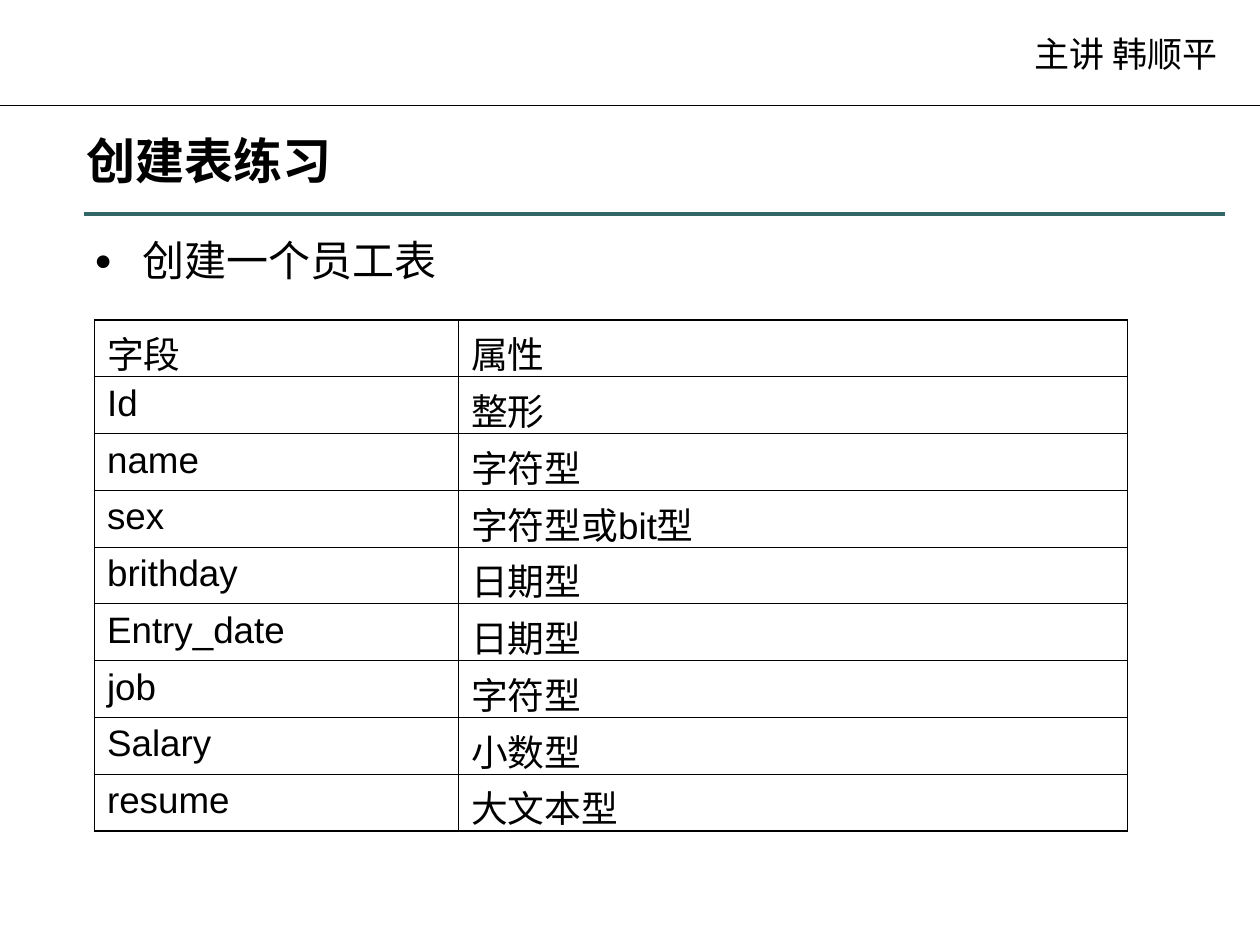
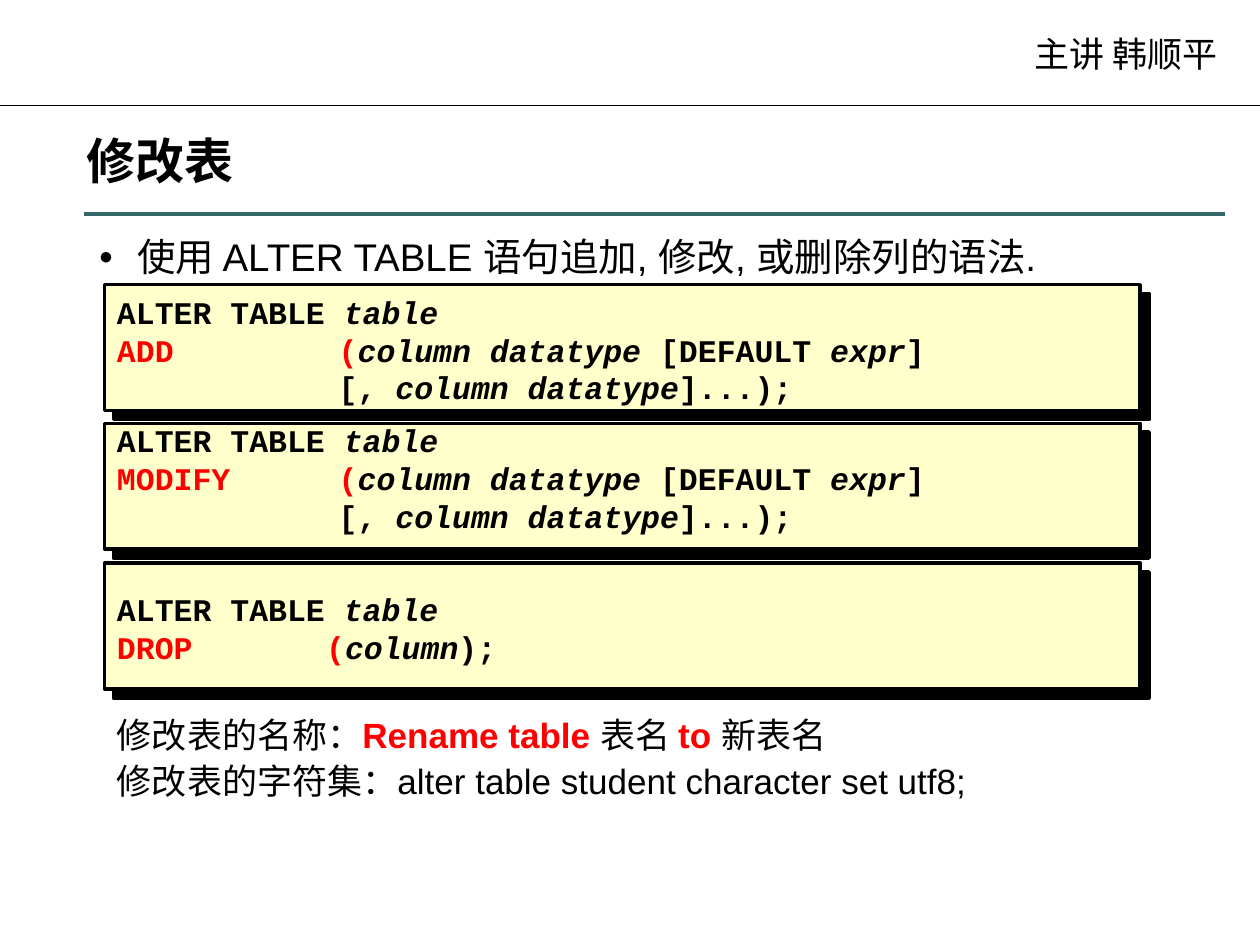
from dataclasses import dataclass
from typing import NamedTuple

from lxml.etree import SubElement
from pptx import Presentation
from pptx.dml.color import RGBColor
from pptx.enum.shapes import MSO_CONNECTOR, MSO_SHAPE
from pptx.enum.text import MSO_ANCHOR
from pptx.oxml.ns import qn
from pptx.util import Inches, Pt

BLACK, GREEN, RED, CREAM = "000000", "336666", "FF0000", "FFFFCC"
THIN, THICK = 0.45, 1.08


def color(value: str) -> RGBColor:
    return RGBColor.from_string(value)


class Area(NamedTuple):
    left: float
    top: float
    width: float
    height: float

    def lengths(self) -> list:
        return [Inches(value) for value in self]


class Span(NamedTuple):
    text: str
    tone: str = BLACK
    bold: bool = False
    italic: bool = False


@dataclass(frozen=True)
class Style:
    size: float
    font: str = "Arial"
    before: float = 0
    spacing: float = 1.0
    hanging: float = 0
    bullet: str = ""
    bullet_percent: int = 100
    tab: float = 0
    anchor: MSO_ANCHOR = MSO_ANCHOR.TOP


@dataclass(frozen=True)
class CodeBlock:
    top: float
    text_top: float
    tab: float
    lines: list


LECTURER = Style(20, before=12.5)
TITLE = Style(28, anchor=MSO_ANCHOR.BOTTOM)
CELL = Style(21, before=5.2)
NOTE = Style(20, before=5, spacing=0.9, hanging=0.38)


def write_paragraph(para, spans: list[Span], style: Style) -> None:
    formats = {"space_before": Pt(style.before), "line_spacing": style.spacing}
    for name, value in formats.items():
        setattr(para, name, value)
    properties = para._p.get_or_add_pPr()
    if style.hanging:
        properties.set("marL", str(Inches(style.hanging)))
        properties.set("indent", str(-Inches(style.hanging)))
    if style.bullet:
        tint = SubElement(properties, qn("a:buClr"))
        SubElement(tint, qn("a:srgbClr"), val=BLACK)
        SubElement(properties, qn("a:buSzPct"), val=str(style.bullet_percent * 1000))
        SubElement(properties, qn("a:buFont"), typeface=style.font)
        SubElement(properties, qn("a:buChar"), char=style.bullet)
    if style.tab:
        stops = SubElement(properties, qn("a:tabLst"))
        SubElement(stops, qn("a:tab"), pos=str(Inches(style.tab)), algn="l")
    for span in spans:
        run = para.add_run()
        run.text = span.text
        formats = {"name": style.font, "size": Pt(style.size),
                   "bold": span.bold, "italic": span.italic}
        for name, value in formats.items():
            setattr(run.font, name, value)
        run.font.color.rgb = color(span.tone)


def add_text(page, area: Area, lines: list[list[Span]], style: Style) -> None:
    frame = page.shapes.add_textbox(*area.lengths()).text_frame
    frame.word_wrap = True
    frame.vertical_anchor = style.anchor
    for index, spans in enumerate(lines):
        para = frame.add_paragraph() if index else frame.paragraphs[0]
        write_paragraph(para, spans, style)


def add_rule(page, left: float, right: float, top: float, tone: str, width: float) -> None:
    rule = page.shapes.add_connector(
        MSO_CONNECTOR.STRAIGHT, Inches(left), Inches(top), Inches(right), Inches(top))
    rule.line.color.rgb = color(tone)
    rule.line.width = Pt(width)
    SubElement(rule._element.spPr, qn("a:effectLst"))


def add_page(deck, title: str):
    """Add a blank page with the shared header and title."""
    page = deck.slides.add_slide(deck.slide_layouts[6])
    add_rule(page, 0, 10, 0.84, BLACK, 0.75)
    add_text(page, Area(8.11, 0.21, 1.77, 0.44), [[Span("主讲 韩顺平")]], LECTURER)
    add_text(page, Area(0.59, 0.84, 8.9, 0.71), [[Span(title, bold=True)]], TITLE)
    add_rule(page, 0.67, 9.72, 1.7, GREEN, 2)
    return page


def set_borders(cell, widths: dict[str, float]) -> None:
    properties = cell._tc.get_or_add_tcPr()
    for side, width in widths.items():
        line = SubElement(properties, qn(f"a:ln{side}"), w=str(Pt(width)))
        SubElement(SubElement(line, qn("a:solidFill")), qn("a:srgbClr"), val=BLACK)


def add_grid(page, area: Area, columns: list[float], rows: list[tuple]) -> None:
    table = page.shapes.add_table(len(rows), len(columns), *area.lengths()).table
    table.first_row = table.horz_banding = False
    for column, width in zip(table.columns, columns):
        column.width = Inches(width)
    last_row, last_column = len(rows) - 1, len(columns) - 1
    for row, texts in enumerate(rows):
        table.rows[row].height = Inches(area.height / len(rows))
        for column, text in enumerate(texts):
            cell = table.cell(row, column)
            outer = {"L": column == 0, "R": column == last_column,
                     "T": row == 0, "B": row == last_row}
            set_borders(cell, {side: THICK if edge else THIN for side, edge in outer.items()})
            cell.fill.background()
            write_paragraph(cell.text_frame.paragraphs[0], [Span(text)], CELL)


def add_panel(page, area: Area) -> None:
    panel = page.shapes.add_shape(MSO_SHAPE.RECTANGLE, *area.lengths())
    panel.fill.solid()
    panel.fill.fore_color.rgb = color(CREAM)
    panel.line.color.rgb = color(BLACK)
    panel.line.width = Pt(2)
    panel.shadow.inherit = False
    effects = panel._element.spPr.find(qn("a:effectLst"))
    shadow = SubElement(effects, qn("a:outerShdw"), dist=str(Pt(7.1)),
                        dir=str(45 * 60000), algn="ctr", rotWithShape="0")
    SubElement(shadow, qn("a:srgbClr"), val=BLACK)


def add_code(page, block: CodeBlock) -> None:
    add_panel(page, Area(0.83, block.top, 8.22, 1))
    style = Style(18, font="Courier New", tab=block.tab, anchor=MSO_ANCHOR.MIDDLE)
    add_text(page, Area(0.83, block.text_top, 7.98, 1.03), block.lines, style)


def code(text: str, tone: str = BLACK) -> Span:
    return Span(text, tone, bold=True)


def term(text: str) -> Span:
    return Span(text, bold=True, italic=True)


def column_syntax(keyword: str) -> list[list[Span]]:
    """Lines shared by the ADD and MODIFY statements."""
    return [
        [code("ALTER TABLE "), term("table")],
        [code(f"{keyword}\t(", RED), term("column datatype "),
         code("[DEFAULT "), term("expr"), code("]")],
        [code("\t[, "), term("column datatype"), code("]...);")],
    ]


def build_exercise(deck) -> None:
    page = add_page(deck, "创建表练习")
    bullet = Style(24, before=6, spacing=0.9, hanging=0.38, bullet="●", bullet_percent=70)
    add_text(page, Area(0.65, 1.86, 8.53, 0.46), [[Span("创建一个员工表")]], bullet)
    fields = [
        ("字段", "属性"),
        ("Id", "整形"),
        ("name", "字符型"),
        ("sex", "字符型或bit型"),
        ("brithday", "日期型"),
        ("Entry_date", "日期型"),
        ("job", "字符型"),
        ("Salary", "小数型"),
        ("resume", "大文本型"),
    ]
    add_grid(page, Area(0.75, 2.54, 8.2, 4.05), [2.89, 5.31], fields)


def build_alter(deck) -> None:
    page = add_page(deck, "修改表")
    bullet = Style(22, spacing=0.85, hanging=0.3, bullet="•")
    add_text(page, Area(0.69, 1.86, 8.51, 0.41),
             [[Span("使用 ALTER TABLE 语句追加, 修改, 或删除列的语法.")]], bullet)

    # Statement panels
    drop_lines = [
        [code("ALTER TABLE "), term("table")],
        [code("DROP\t(", RED), term("column"), code(");")],
    ]
    blocks = [
        CodeBlock(2.26, 2.26, 1.76, column_syntax("ADD")),
        CodeBlock(3.36, 3.28, 1.76, column_syntax("MODIFY")),
        CodeBlock(4.47, 4.47, 1.66, drop_lines),
    ]
    for block in blocks:
        add_code(page, block)

    # Renaming and character set
    notes = [
        [Span("修改表的名称："), Span("Rename table ", RED, True), Span("表名 "),
         Span("to ", RED, True), Span("新表名")],
        [Span("修改表的字符集：alter table student character set utf8;")],
    ]
    add_text(page, Area(0.83, 5.65, 8.27, 0.77), notes, NOTE)


def main() -> None:
    deck = Presentation()
    deck.slide_width, deck.slide_height = Inches(10), Inches(7.5)
    build_exercise(deck)
    build_alter(deck)
    deck.save("out.pptx")


if __name__ == "__main__":
    main()
